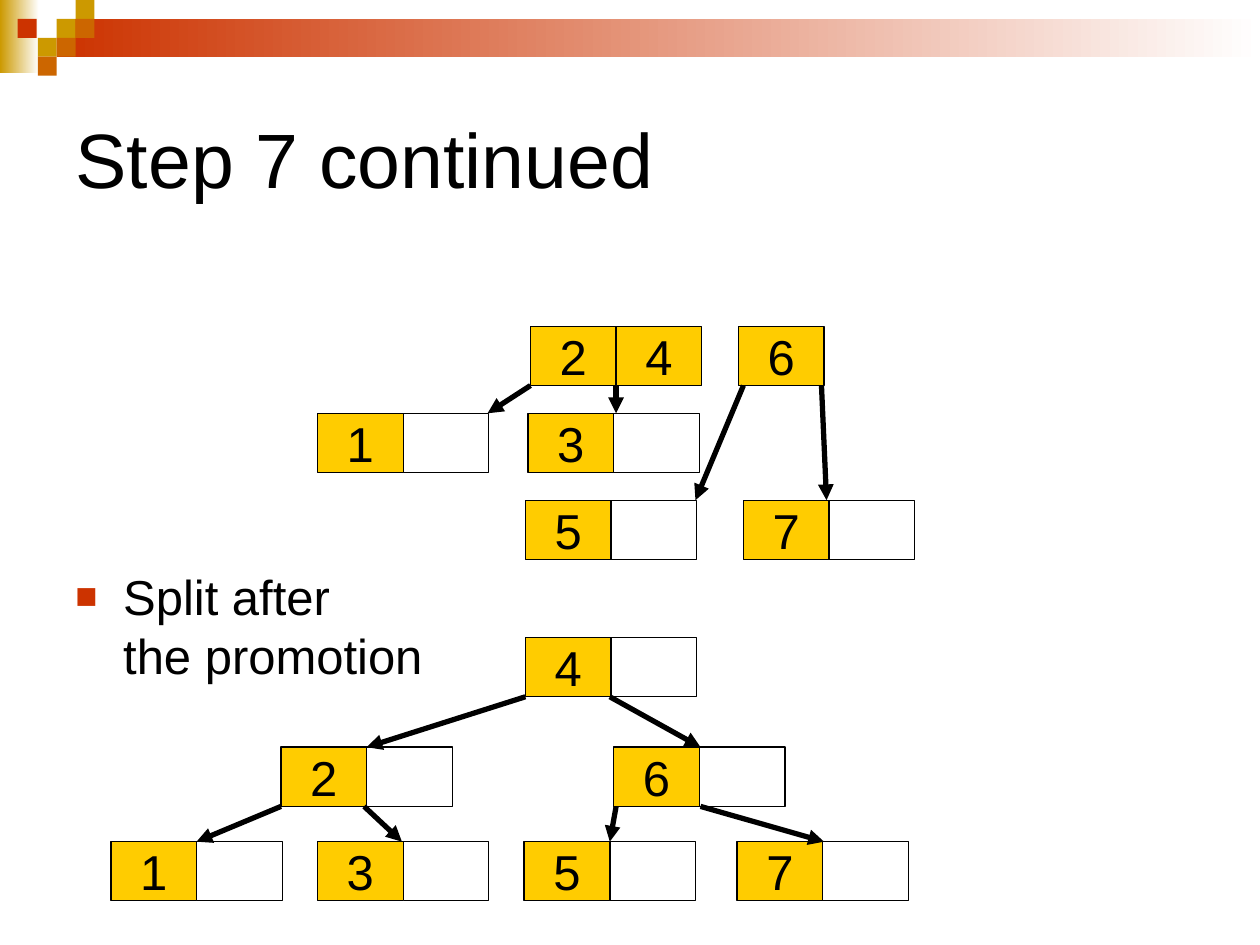
from dataclasses import dataclass

from lxml.etree import SubElement
from pptx import Presentation
from pptx.dml.color import RGBColor
from pptx.enum.shapes import MSO_CONNECTOR, MSO_SHAPE
from pptx.enum.text import MSO_ANCHOR, PP_ALIGN
from pptx.oxml.ns import qn
from pptx.util import Inches, Pt

BLACK = RGBColor(0x00, 0x00, 0x00)
WHITE = RGBColor(0xFF, 0xFF, 0xFF)
YELLOW = RGBColor(0xFF, 0xCC, 0x00)
GOLD = RGBColor(0xCC, 0x99, 0x00)
ORANGE = RGBColor(0xCC, 0x66, 0x00)
RED = RGBColor(0xCC, 0x33, 0x00)

KEY_WIDTH = 0.68
KEY_HEIGHT = 0.47
SQUARE = 0.15


@dataclass(frozen=True)
class Node:
    left: float
    top: float
    keys: tuple[str, ...]


@dataclass(frozen=True)
class Arrow:
    start: tuple[float, float]
    end: tuple[float, float]


@dataclass(frozen=True)
class Square:
    left: float
    top: float
    color: RGBColor


SQUARES = (
    Square(0.45, 0.15, GOLD),
    Square(0.6, 0, GOLD),
    Square(0.6, 0.15, ORANGE),
    Square(0.3, 0.3, GOLD),
    Square(0.14, 0.15, RED),
    Square(0.45, 0.3, ORANGE),
    Square(0.3, 0.45, ORANGE),
)

NODES = (
    Node(4.21, 2.59, ("2", "4")),
    Node(5.86, 2.59, ("6",)),
    Node(2.52, 3.28, ("1", "")),
    Node(4.19, 3.28, ("3", "")),
    Node(4.17, 3.97, ("5", "")),
    Node(5.9, 3.97, ("7", "")),
    Node(4.17, 5.06, ("4", "")),
    Node(2.23, 5.93, ("2", "")),
    Node(4.87, 5.93, ("6", "")),
    Node(0.88, 6.68, ("1", "")),
    Node(2.52, 6.68, ("3", "")),
    Node(4.16, 6.68, ("5", "")),
    Node(5.85, 6.68, ("7", "")),
)

ARROWS = (
    Arrow((4.21, 3.06), (3.87, 3.28)),
    Arrow((4.89, 3.06), (4.89, 3.28)),
    Arrow((5.9, 3.06), (5.52, 3.97)),
    Arrow((6.52, 3.06), (6.56, 3.97)),
    Arrow((4.17, 5.53), (2.91, 5.93)),
    Arrow((4.84, 5.53), (5.56, 5.93)),
    Arrow((2.23, 6.4), (1.56, 6.68)),
    Arrow((2.89, 6.4), (3.19, 6.68)),
    Arrow((4.89, 6.4), (4.84, 6.68)),
    Arrow((5.56, 6.4), (6.54, 6.68)),
)


def write_text(box, text: str, *, size: float = 28, align=PP_ALIGN.LEFT,
               anchor=MSO_ANCHOR.MIDDLE, wrap: bool = True):
    frame = box.text_frame
    frame.word_wrap = wrap
    frame.vertical_anchor = anchor
    para = frame.paragraphs[0]
    para.text = text
    para.alignment = align
    for span in para.runs:
        span.font.name = "Arial"
        span.font.size = Pt(size)
        span.font.color.rgb = BLACK
    return para


def add_box(page, left: float, top: float, width: float, height: float):
    box = page.shapes.add_shape(MSO_SHAPE.RECTANGLE, Inches(left), Inches(top),
                                Inches(width), Inches(height))
    box.shadow.inherit = False
    box.line.fill.background()
    return box


def add_fade(page, left: float, top: float, width: float, height: float,
             color: RGBColor) -> None:
    fill = add_box(page, left, top, width, height).fill
    fill.gradient()
    fill.gradient_angle = 0
    for stop, position, shade in zip(fill.gradient_stops, (0, 1), (color, WHITE)):
        stop.position = position
        stop.color.rgb = shade


def add_square(page, square: Square) -> None:
    box = add_box(page, square.left, square.top, SQUARE, SQUARE)
    box.fill.solid()
    box.fill.fore_color.rgb = square.color


def add_node(page, node: Node) -> None:
    for index, key in enumerate(node.keys):
        box = add_box(page, node.left + index * KEY_WIDTH, node.top,
                      KEY_WIDTH, KEY_HEIGHT)
        box.fill.solid()
        box.fill.fore_color.rgb = YELLOW if key else WHITE
        box.line.color.rgb = BLACK
        box.line.width = Pt(0.75)
        if key:
            write_text(box, key, align=PP_ALIGN.CENTER, wrap=False)


def add_arrow(page, arrow: Arrow) -> None:
    points = [Inches(value) for value in arrow.start + arrow.end]
    connector = page.shapes.add_connector(MSO_CONNECTOR.STRAIGHT, *points)
    connector.line.color.rgb = BLACK
    connector.line.width = Pt(3)
    SubElement(connector.line._get_or_add_ln(), qn("a:tailEnd"), type="triangle")
    SubElement(connector._element.spPr, qn("a:effectLst"))


def add_bullet(para, symbol: str, color: RGBColor, percent: int, indent: float) -> None:
    properties = para._p.get_or_add_pPr()
    properties.set("marL", str(Inches(indent)))
    properties.set("indent", str(-Inches(indent)))
    bullet_color = SubElement(properties, qn("a:buClr"))
    SubElement(bullet_color, qn("a:srgbClr"), val=str(color))
    SubElement(properties, qn("a:buSzPct"), val=str(percent * 1000))
    SubElement(properties, qn("a:buFont"), typeface="Arial")
    SubElement(properties, qn("a:buChar"), char=symbol)


def main() -> None:
    deck = Presentation()
    deck.slide_width, deck.slide_height = Inches(10), Inches(7.5)
    page = deck.slides.add_slide(deck.slide_layouts[5])

    add_fade(page, 0, 0, 0.31, 0.58, GOLD)
    add_fade(page, 0.45, 0.15, 9.55, 0.3, RED)
    for square in SQUARES:
        add_square(page, square)

    title = page.shapes.title
    title.left, title.top = Inches(0.5), Inches(0.5)
    title.width, title.height = Inches(9), Inches(1.5)
    write_text(title, "Step 7 continued", size=44)

    body = page.shapes.add_textbox(Inches(0.5), Inches(4.45), Inches(9), Inches(1.97))
    para = write_text(body, "Split after\vthe promotion", anchor=MSO_ANCHOR.TOP)
    add_bullet(para, "■", RED, 75, 0.38)

    for node in NODES:
        add_node(page, node)
    for arrow in ARROWS:
        add_arrow(page, arrow)

    deck.save("out.pptx")


if __name__ == "__main__":
    main()
